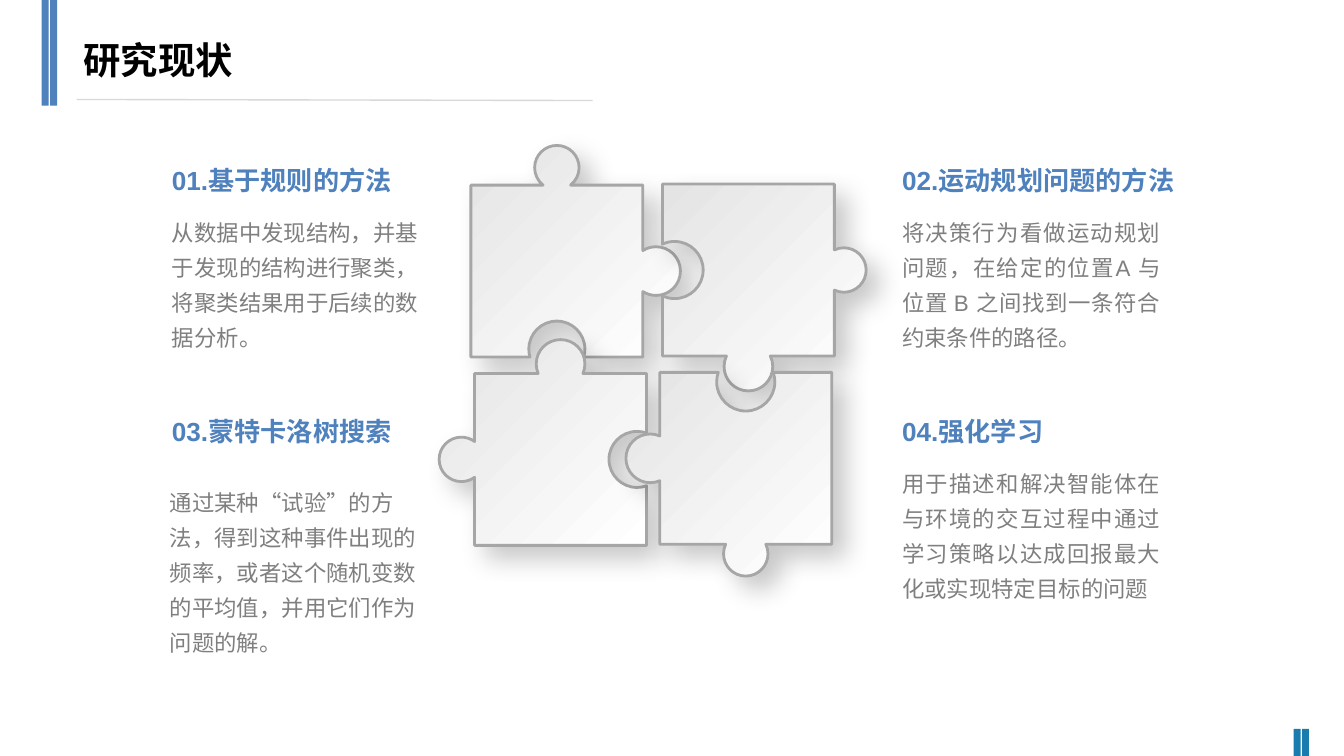
from math import asin, cos, pi, sin, tan
from lxml import etree
from pptx import Presentation
from pptx.dml.color import RGBColor
from pptx.enum.lang import MSO_LANGUAGE_ID
from pptx.enum.shapes import MSO_CONNECTOR, MSO_SHAPE
from pptx.enum.text import MSO_ANCHOR, MSO_AUTO_SIZE, PP_ALIGN
from pptx.oxml import parse_xml
from pptx.oxml.ns import qn
from pptx.util import Cm, Pt

BLUE = RGBColor(0x4F, 0x81, 0xBD)
TEAL = RGBColor(0x1A, 0x7B, 0xAE)
BLACK = RGBColor(0, 0, 0)
GREY = RGBColor(0x7F, 0x7F, 0x7F)
RULE = RGBColor(0xD8, 0xD8, 0xD8)
EDGE = RGBColor(0xA6, 0xA6, 0xA6)
PALE = RGBColor(0xE4, 0xE4, 0xE4)
WHITE = RGBColor(0xFF, 0xFF, 0xFF)
SHADOW = (
    '<a:effectLst xmlns:a="http://schemas.openxmlformats.org/drawingml/2006/main">'
    '<a:outerShdw blurRad="177800" dist="114300" dir="2700000" algn="tl" rotWithShape="0">'
    '<a:srgbClr val="000000"><a:alpha val="22000"/></a:srgbClr>'
    '</a:outerShdw></a:effectLst>')

deck = Presentation()
deck.slide_width, deck.slide_height = Cm(25.4), Cm(14.29)
slide = deck.slides.add_slide(deck.slide_layouts[5])
shapes = slide.shapes


def put_text(box, text, size, color, bold=False, align=PP_ALIGN.LEFT,
             lead=None, before=0):
    frame = box.text_frame
    frame.word_wrap = True
    para = frame.paragraphs[0]
    para.alignment = align
    para.space_before = Pt(before)
    para.line_spacing = lead
    para._p.get_or_add_pPr().set("hangingPunct", "0")
    run = para.add_run()
    run.text = text
    font = run.font
    font.name, font.size, font.bold = "Arial", Pt(size), bold
    font.color.rgb = color
    font.language_id = MSO_LANGUAGE_ID.SIMPLIFIED_CHINESE


def outline(left, top, size, sides):
    """Steps round a puzzle piece: one point for a line, three for a curve."""
    steps = []
    x, y = left, top
    for side, (dx, dy) in zip(sides, [(1, 0), (0, 1), (-1, 0), (0, -1)]):
        def spot(along, out):
            return (Cm(x + along * dx + out * dy), Cm(y + along * dy - out * dx))

        steps.append([spot(0, 0)])
        if side:
            off, rad = side
            sign = 1 if off > 0 else -1
            dip = asin(abs(off) / rad)
            turns = [pi + dip, pi, pi / 2, 0, -dip]

            def ring(turn, pull=0):
                return spot(size / 2 + rad * (cos(turn) - pull * sin(turn)),
                            off + sign * rad * (sin(turn) + pull * cos(turn)))

            steps.append([ring(turns[0])])
            for start, end in zip(turns, turns[1:]):
                pull = 4 / 3 * tan((end - start) / 4)
                steps.append([ring(start, pull), ring(end, -pull), ring(end)])
        x, y = x + size * dx, y + size * dy
    return steps


# Accent bars at the top left and bottom right
for left, top, high, color in [(0.79, 0, 2, BLUE), (24.45, 13.78, 0.51, TEAL)]:
    for col in range(2):
        bar = shapes.add_shape(MSO_SHAPE.RECTANGLE, Cm(left + col * 0.16),
                               Cm(top), Cm(0.13), Cm(high))
        bar.shadow.inherit = False
        bar.fill.solid()
        bar.fill.fore_color.rgb = color
        bar.line.fill.background()

# Title with its rule
title = shapes.title
title.left, title.top, title.width, title.height = Cm(1.32), Cm(0.49), Cm(10.26), Cm(1.27)
title.text_frame.vertical_anchor = MSO_ANCHOR.MIDDLE
put_text(title, "研究现状", 20, BLACK, bold=True)
rule = shapes.add_connector(MSO_CONNECTOR.STRAIGHT, Cm(1.45), Cm(1.88), Cm(11.2), Cm(1.9))
rule.line.color.rgb = RULE
rule.line.width = Pt(0.75)
etree.SubElement(rule._element.spPr, qn("a:effectLst"))

# Puzzle pieces: left, top, then top, right, bottom and left sides
pieces = [
    (8.9, 3.5, [(0.33, 0.42), (0.25, 0.46), (-0.15, 0.53), None]),
    (8.97, 7.06, [(0.18, 0.46), (-0.18, 0.53), None, (0.25, 0.42)]),
    (12.52, 3.48, [None, (0.18, 0.42), (0.2, 0.46), (-0.23, 0.54)]),
    (12.47, 7.04, [(-0.18, 0.55), None, (0.18, 0.42), (0.18, 0.46)]),
]
for left, top, sides in pieces:
    (first,), *steps = outline(left, top, 3.25, sides)
    pen = shapes.build_freeform(*first)
    pen.add_line_segments([point for step in steps for point in step], close=True)
    piece = pen.convert_to_shape()

    # Join each three points of a curve into one segment
    lines = iter(list(piece._element.spPr.iter(qn("a:lnTo"))))
    for step in steps:
        head, *more = [next(lines) for point in step]
        if more:
            head.tag = qn("a:cubicBezTo")
            for line in more:
                head.append(line[0])
                line.getparent().remove(line)

    piece.fill.gradient()
    piece.fill.gradient_angle = 315
    for stop, color, place in zip(piece.fill.gradient_stops, (PALE, WHITE), (0, 1)):
        stop.color.rgb = color
        stop.position = place
    piece.line.color.rgb = EDGE
    piece.line.width = Pt(1.5)
    piece._element.spPr.append(parse_xml(SHADOW))

# Four topics: left, head top, head width, body left, body top, body height
topics = [
    (3, 2.99, 5.38, 3, 3.87, 2.87, PP_ALIGN.LEFT, "01.基于规则的方法",
     "从数据中发现结构，并基于发现的结构进行聚类，将聚类结果用于后续的数据分析。"),
    (3, 7.72, 5.59, 2.96, 8.97, 3.53, PP_ALIGN.LEFT, "03.蒙特卡洛树搜索",
     "通过某种“试验”的方法，得到这种事件出现的频率，或者这个随机变数的平均值，并用它们作为问题的解。"),
    (16.8, 2.99, 5.82, 16.8, 3.87, 2.87, PP_ALIGN.JUSTIFY, "02.运动规划问题的方法",
     "将决策行为看做运动规划问题，在给定的位置A 与位置 B 之间找到一条符合约束条件的路径。"),
    (16.8, 7.72, 5.38, 16.8, 8.61, 2.87, PP_ALIGN.JUSTIFY, "04.强化学习",
     "用于描述和解决智能体在与环境的交互过程中通过学习策略以达成回报最大化或实现特定目标的问题"),
]
for left, top, wide, inner, low, high, align, head, body in topics:
    label = shapes.add_textbox(Cm(left), Cm(top), Cm(wide), Cm(0.86))
    put_text(label, head, 14, BLUE, bold=True)
    note = shapes.add_textbox(Cm(inner), Cm(low), Cm(5.38), Cm(high))
    put_text(note, body, 12, GREY, align=align, lead=1.3, before=6)
    for box in (label, note):
        box.text_frame.auto_size = MSO_AUTO_SIZE.SHAPE_TO_FIT_TEXT

deck.save("out.pptx")
